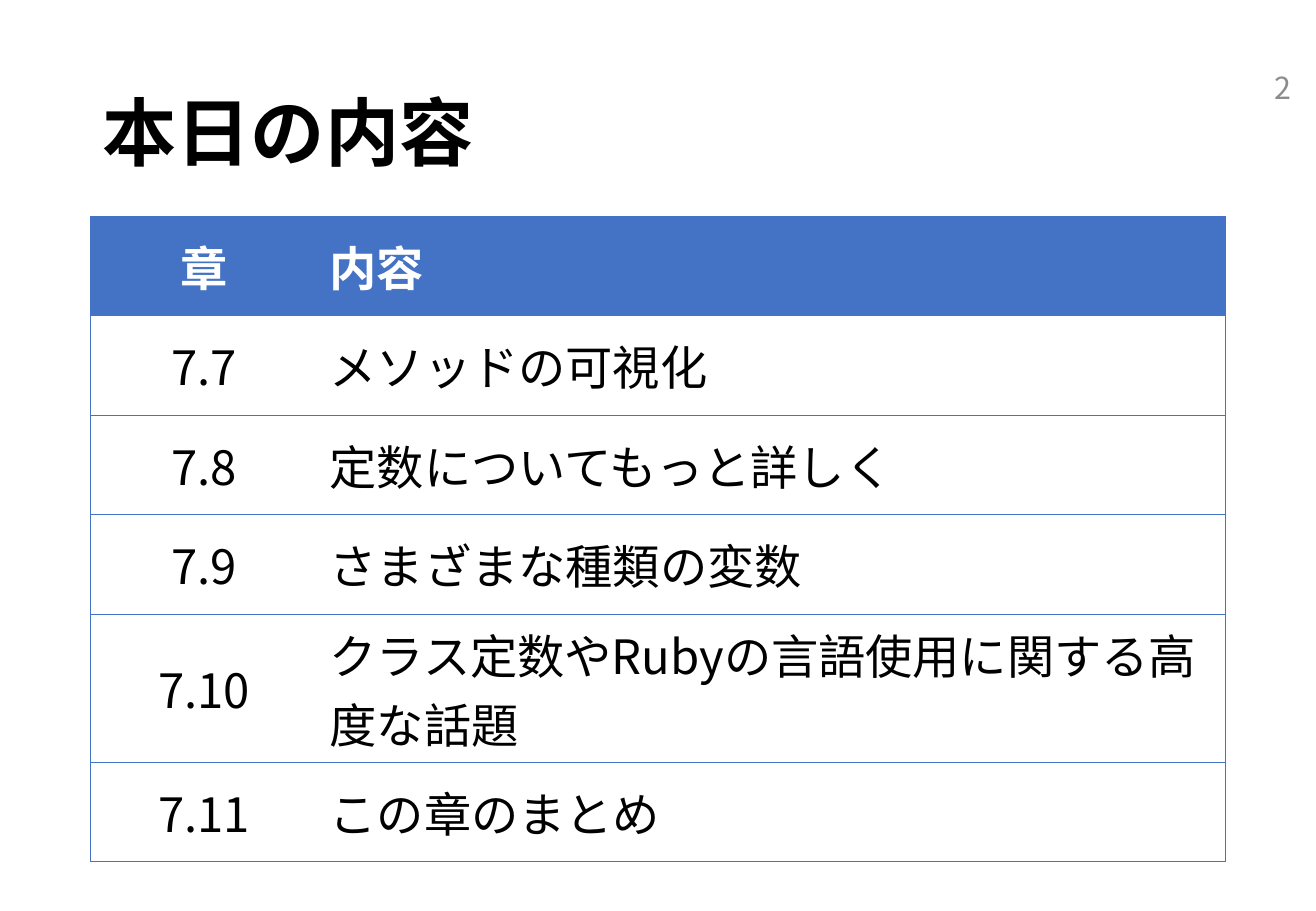
import pptx
import pptx.util
import pptx.dml.color
import pptx.enum.text
import pptx.oxml
import pptx.oxml.ns

Cm = pptx.util.Cm
Pt = pptx.util.Pt
ALIGN = pptx.enum.text.PP_ALIGN
MIDDLE = pptx.enum.text.MSO_ANCHOR.MIDDLE
FONT = "Noto Sans CJK JP"
BLUE = "4472C4"
WHITE = "FFFFFF"
BLACK = "000000"
ONE, TWO = 2.08, 3.1
ROWS = [
    (ONE, "章", "内容"),
    (ONE, "7.7", "メソッドの可視化"),
    (ONE, "7.8", "定数についてもっと詳しく"),
    (ONE, "7.9", "さまざまな種類の変数"),
    (TWO, "7.10", "クラス定数やRubyの言語使用に関する高度な話題"),
    (ONE, "7.11", "この章のまとめ"),
]


def color(code):
    return pptx.dml.color.RGBColor.from_string(code)


def apply(item, form):
    for name, value in form.items():
        setattr(item, name, value)


def write(frame, text, size, code, bold=False, align=ALIGN.LEFT, face=FONT):
    para = frame.paragraphs[0]
    para.alignment = align
    run = para.add_run()
    run.text = text
    apply(run.font, {"size": Pt(size), "bold": bold, "name": face})
    run.font.color.rgb = color(code)
    east = pptx.oxml.parse_xml(
        f'<a:ea {pptx.oxml.ns.nsdecls("a")} typeface="{FONT}"/>')
    run.font._element.find(pptx.oxml.ns.qn("a:latin")).addnext(east)
    return para


def add_text(slide, box, *args, **form):
    frame = slide.shapes.add_textbox(*map(Cm, box)).text_frame
    apply(frame, {"word_wrap": True, "vertical_anchor": MIDDLE})
    return write(frame, *args, **form)


def edge(cell, sides):
    props = cell._tc.get_or_add_tcPr()
    for spot, side in enumerate("LRTB"):
        fill = (f'<a:solidFill><a:srgbClr val="{BLUE}"/></a:solidFill>'
                if side in sides else "<a:noFill/>")
        props.insert(spot, pptx.oxml.parse_xml(
            f'<a:ln{side} {pptx.oxml.ns.nsdecls("a")} w="{Pt(0.5)}">'
            f'{fill}</a:ln{side}>'))


def add_title(slide, box):
    para = add_text(slide, box, "本日の内容", 44, BLACK, bold=True, face="Arial")
    para.line_spacing = 0.9


def add_topics(slide, box):
    left, top, width, height = box
    table = slide.shapes.add_table(
        len(ROWS), 2, Cm(left), Cm(top), Cm(width), Cm(height)).table
    apply(table, {"first_row": True, "horz_banding": False})
    first = 4.75
    table.columns[0].width = Cm(first)
    table.columns[1].width = Cm(width - first)
    for r, (tall, *texts) in enumerate(ROWS):
        table.rows[r].height = Cm(tall)
        head = r == 0
        for c, text in enumerate(texts):
            cell = table.cell(r, c)
            cell.vertical_anchor = MIDDLE
            cell.fill.solid()
            cell.fill.fore_color.rgb = color(BLUE if head else WHITE)
            write(cell.text_frame, text, 28, WHITE if head else BLACK,
                  bold=head, align=ALIGN.LEFT if c else ALIGN.CENTER)
            edge(cell, "RTB" if c else "LTB")


def add_number(slide, box):
    add_text(slide, box, "2", 18, "8C8C8C", align=ALIGN.RIGHT)


def main():
    deck = pptx.Presentation()
    apply(deck, {"slide_width": Cm(27.51), "slide_height": Cm(19.05)})
    slide = deck.slides.add_slide(deck.slide_layouts[6])
    add_title(slide, (1.89, 1.02, 23.73, 3.68))
    add_topics(slide, (1.89, 4.52, 23.73, sum(row[0] for row in ROWS)))
    add_number(slide, (25.65, 1.02, 1.6, 1.6))
    deck.save("out.pptx")


if __name__ == "__main__":
    main()
